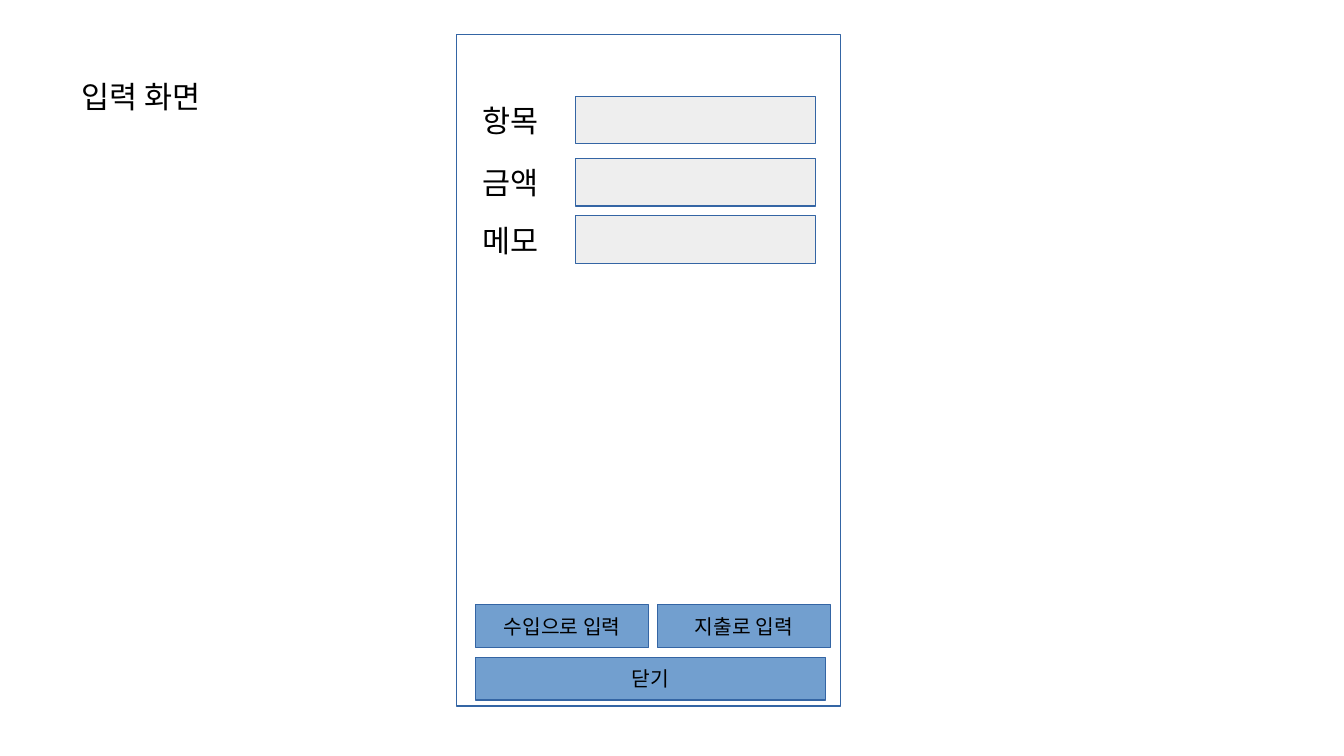
from dataclasses import dataclass

import pptx
import pptx.dml.color
import pptx.enum.shapes
import pptx.enum.text
import pptx.util

Inches = pptx.util.Inches


@dataclass(frozen=True)
class Theme:
    font: str = "Arial"
    ink: str = "000000"
    edge: str = "3465A4"
    paper: str = "FFFFFF"
    field: str = "EEEEEE"
    button: str = "729FCF"
    label: int = 18
    action: int = 12


THEME = Theme()


def color(code):
    return pptx.dml.color.RGBColor.from_string(code)


def write(shape, text, size):
    frame = shape.text_frame
    frame.word_wrap = False
    run = frame.paragraphs[0].add_run()
    run.text = text
    run.font.name = THEME.font
    run.font.size = pptx.util.Pt(size)
    run.font.color.rgb = color(THEME.ink)
    return frame


def add_label(slide, text, left, top, width):
    box = slide.shapes.add_textbox(
        Inches(left), Inches(top), Inches(width), Inches(0.46))
    frame = write(box, text, THEME.label)
    frame.auto_size = pptx.enum.text.MSO_AUTO_SIZE.SHAPE_TO_FIT_TEXT


def add_rect(slide, fill, left, top, width, height):
    rect = slide.shapes.add_shape(
        pptx.enum.shapes.MSO_SHAPE.RECTANGLE,
        Inches(left), Inches(top), Inches(width), Inches(height))
    rect.shadow.inherit = False
    rect.fill.solid()
    rect.fill.fore_color.rgb = color(fill)
    rect.line.color.rgb = color(THEME.edge)
    rect.line.width = Inches(0)
    return rect


def add_button(slide, text, left, top, width):
    rect = add_rect(slide, THEME.button, left, top, width, 0.35)
    frame = write(rect, text, THEME.action)
    frame.vertical_anchor = pptx.enum.text.MSO_ANCHOR.MIDDLE
    frame.paragraphs[0].alignment = pptx.enum.text.PP_ALIGN.CENTER


def add_form(slide, left, top, width):
    rows = (("항목", 0), ("금액", 0.51), ("메모", 0.98))
    for name, drop in rows:
        add_label(slide, name, left, top + drop, 0.67)
        add_rect(slide, THEME.field, left + 0.86, top + drop,
                 width - 0.86, 0.39)


def add_actions(slide, left, top, width):
    half, gap = 1.42, 0.07
    for index, name in enumerate(("수입으로 입력", "지출로 입력")):
        add_button(slide, name, left + index * (half + gap), top, half)
    add_button(slide, "닫기", left, top + 0.43, width)


def add_phone(slide, left, top, width, height):
    add_rect(slide, THEME.paper, left, top, width, height)
    add_form(slide, left + 0.12, top + 0.51, width - 0.32)
    add_actions(slide, left + 0.16, top + height - 0.83, width - 0.28)


def main():
    deck = pptx.Presentation()
    deck.slide_width = Inches(11.02)
    deck.slide_height = Inches(6.2)
    slide = deck.slides.add_slide(deck.slide_layouts[6])
    add_label(slide, "입력 화면", 0.57, 0.59, 1.21)
    add_phone(slide, 3.74, 0.28, 3.15, 5.51)
    deck.save("out.pptx")


if __name__ == "__main__":
    main()
